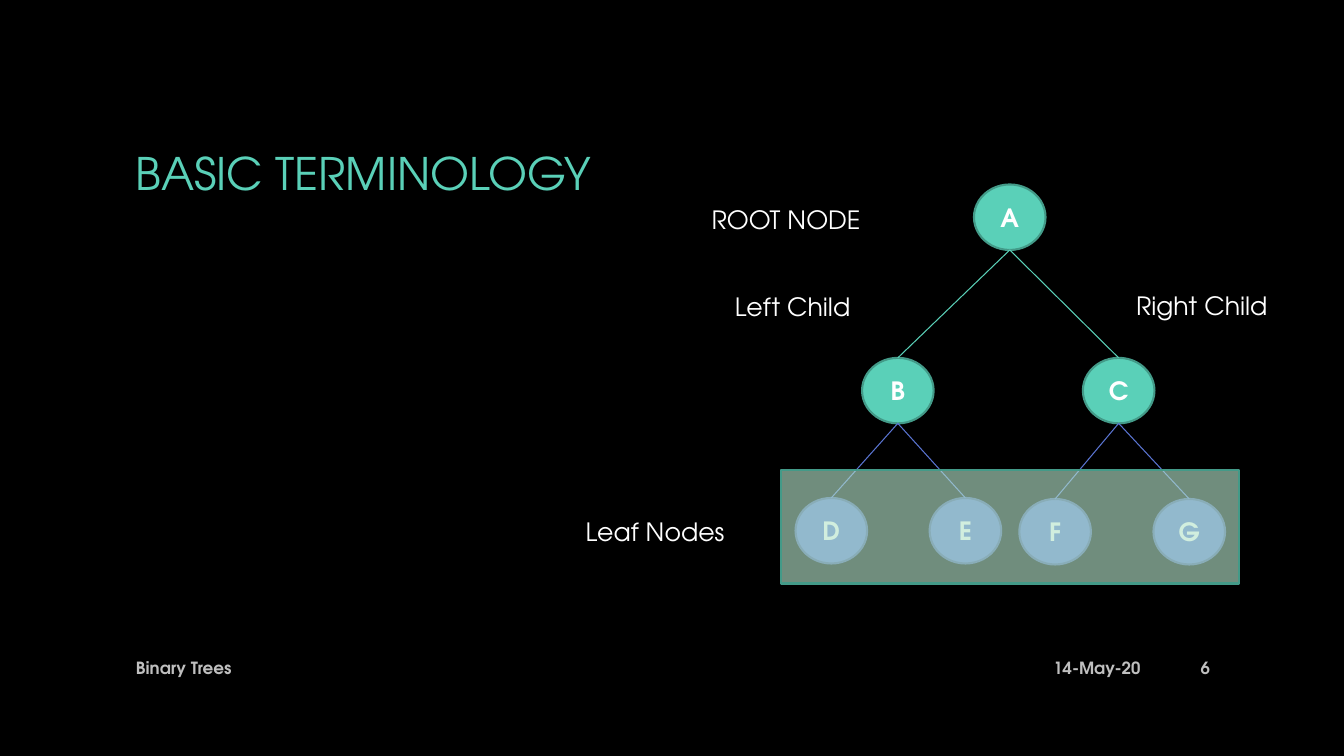
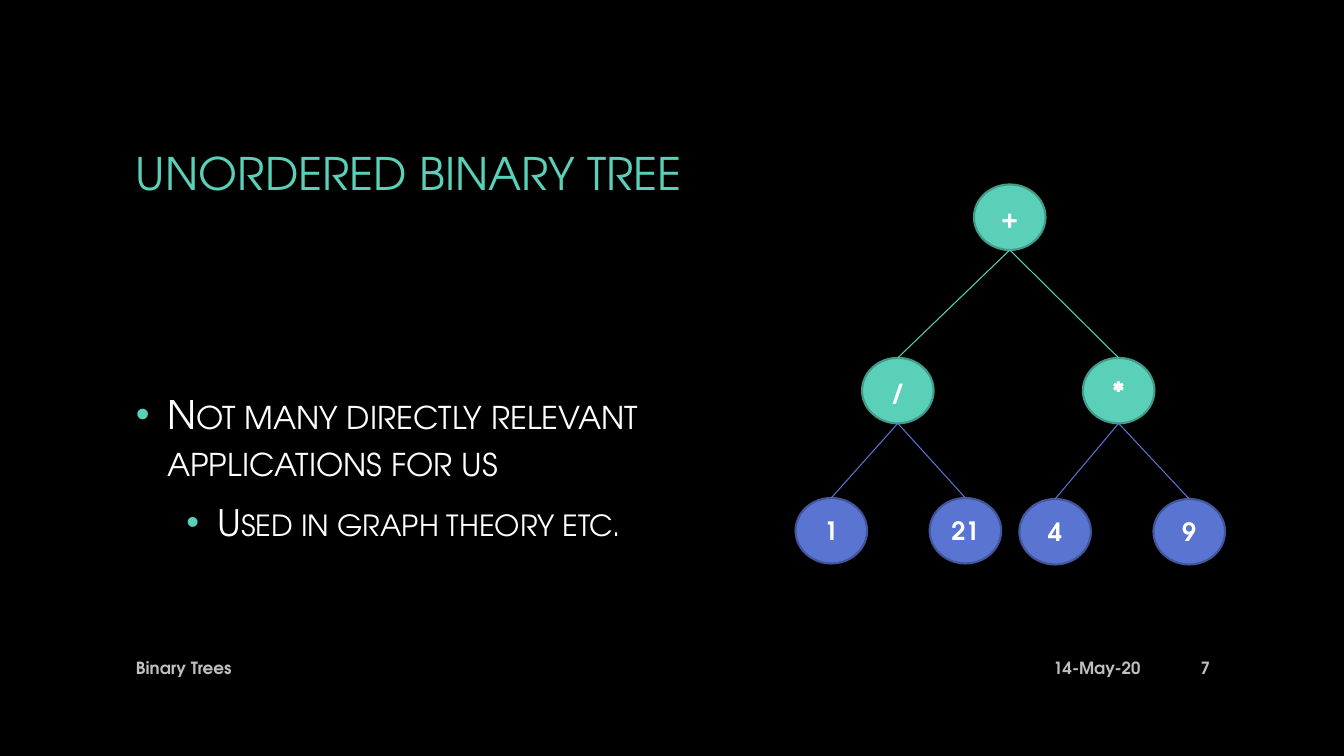
from dataclasses import dataclass

from pptx import Presentation
from pptx.dml.color import RGBColor as Rgb
from pptx.enum.shapes import MSO_CONNECTOR as Link, MSO_SHAPE as Geo
from pptx.enum.text import MSO_ANCHOR as Anchor, MSO_AUTO_SIZE as Auto, PP_ALIGN as Align
from pptx.oxml.ns import qn
from pptx.util import Inches, Pt


@dataclass(frozen=True)
class Theme:
    font: str = "TeX Gyre Adventor"
    back: str = "000000"
    text: str = "FFFFFF"
    muted: str = "BFBFBF"
    mint: str = "5AD0B8"
    mint_edge: str = "439A88"
    blue: str = "5A74D1"
    blue_edge: str = "43569B"
    veil: str = "B5E4CB"
    title: int = 32
    label: int = 18
    foot: int = 12
    body: tuple = (28, 26)


T = Theme()
TITLE = (1.25, 0.67, 10.83, 2.08)
BODY = (1.25, 2.92, 5.55, 3.42)
TREE = (7.89, 1.83)
NODE = (0.71, 0.65)
# Left and top of each node inside the tree, level by level
SPOTS = [(1.77, 0), (0.66, 1.72), (2.85, 1.72),
         (0, 3.11), (1.33, 3.11), (2.22, 3.12), (3.55, 3.12)]
INNER = 3  # nodes that have children


def rgb(code):
    return Rgb.from_string(code)


def style(par, size, color, bold=False, align=Align.LEFT):
    par.alignment = align
    for run in par.runs:
        font = run.font
        font.name, font.size, font.bold = T.font, Pt(size), bold
        font.color.rgb = rgb(color)


def add_text(slide, box, text, size, color, bold=False, align=Align.LEFT,
             anchor=Anchor.MIDDLE):
    frame = slide.shapes.add_textbox(*map(Inches, box)).text_frame
    frame.word_wrap = True
    frame.vertical_anchor = anchor
    frame.text = text
    for par in frame.paragraphs:
        style(par, size, color, bold, align)
    return frame


def add_shape(slide, geo, box, fill, edge):
    shape = slide.shapes.add_shape(geo, *map(Inches, box))
    shape.shadow.inherit = False
    shape.fill.solid()
    shape.fill.fore_color.rgb = rgb(fill)
    shape.line.color.rgb = rgb(edge)
    shape.line.width = Pt(1.5)
    return shape


def add_node(slide, box, text, fill, edge):
    node = add_shape(slide, Geo.OVAL, box, fill, edge)
    frame = node.text_frame
    frame.word_wrap = False
    frame.vertical_anchor = Anchor.MIDDLE
    frame.text = text
    style(frame.paragraphs[0], T.label, T.text, True, Align.CENTER)
    return node


def add_edge(slide, top, low, color):
    """Line from the bottom of one node to the top of its child."""
    line = slide.shapes.add_connector(
        Link.STRAIGHT, top.left + top.width // 2, top.top + top.height,
        low.left + low.width // 2, low.top)
    line.end_connect(low, 0)
    line.line.color.rgb = rgb(color)
    line.line.width = Pt(0.75)
    props = line._element.spPr
    props.append(props.makeelement(qn("a:effectLst"), {}))


def add_tree(slide, origin, names):
    """Seven-node binary tree; the children of node i are 2i + 1 and 2i + 2."""
    left, top = origin
    nodes = []
    for i, (name, (x, y)) in enumerate(zip(names, SPOTS)):
        pair = (T.mint, T.mint_edge) if i < INNER else (T.blue, T.blue_edge)
        nodes.append(add_node(slide, (left + x, top + y, *NODE), name, *pair))
    for i in range(1, len(nodes)):
        color = T.mint if i < INNER else T.blue
        add_edge(slide, nodes[(i - 1) // 2], nodes[i], color)


def add_terms(slide, origin):
    """Veil over the leaves and the labels beside the tree."""
    left, top = origin
    veil = add_shape(slide, Geo.RECTANGLE, (left - 0.14, top + 2.83, 4.54, 1.13),
                     T.veil, T.mint_edge)
    color = veil._element.spPr.find(qn("a:solidFill"))[0]
    color.append(color.makeelement(qn("a:alpha"), {"val": "62000"}))
    for text, x, y in [("Leaf Nodes", -2.18, 3.24), ("Left Child", -0.7, 1.01),
                       ("Right Child", 3.28, 1), ("ROOT NODE", -0.93, 0.15)]:
        frame = add_text(slide, (left + x, top + y, 1.86, 0.4), text,
                         T.label, T.text, anchor=Anchor.TOP)
        frame.auto_size = Auto.SHAPE_TO_FIT_TEXT


def add_bullets(slide, box, lines):
    """Small-caps list, each line one level deeper than the last."""
    frame = add_text(slide, box, "\n".join(lines), T.body[0], T.text)
    for level, (par, size) in enumerate(zip(frame.paragraphs, T.body)):
        par.level = level
        par.space_before, par.space_after = Pt(size * 0.2), Pt(6)
        font = par.runs[0].font
        font.size = Pt(size)
        font._element.set("cap", "small")
        props = par._p.get_or_add_pPr()
        props.set("marL", str(Inches(0.31 + 0.5 * level)))
        props.set("indent", str(Inches(-0.31)))
        tint = props.makeelement(qn("a:buClr"), {})
        tint.append(tint.makeelement(qn("a:srgbClr"), {"val": T.mint}))
        props.append(tint)
        props.append(props.makeelement(qn("a:buFont"), {"typeface": "Arial"}))
        props.append(props.makeelement(qn("a:buChar"), {"char": "•"}))


def add_footer(slide, number):
    for text, left, width, align in [("14-May-20", 9.66, 1.75, Align.RIGHT),
                                     ("Binary Trees", 1.25, 8.25, Align.LEFT),
                                     (str(number), 11.5, 0.6, Align.RIGHT)]:
        add_text(slide, (left, 6.43, width, 0.4), text, T.foot, T.muted, True, align)


def add_page(deck, title, number, names):
    """Slide with title, footer and tree."""
    slide = deck.slides.add_slide(deck.slide_layouts[6])
    add_text(slide, TITLE, title, T.title, T.mint)
    add_footer(slide, number)
    add_tree(slide, TREE, names)
    return slide


def main():
    deck = Presentation()
    deck.slide_width, deck.slide_height = Inches(13.33), Inches(7.5)
    back = deck.slide_master.background.fill
    back.solid()
    back.fore_color.rgb = rgb(T.back)

    terms = add_page(deck, "BASIC TERMINOLOGY", 6, "ABCDEFG")
    add_terms(terms, TREE)

    plain = add_page(deck, "UNORDERED BINARY TREE", 7,
                     ["+", "/", "*", "1", "21", "4", "9"])
    add_bullets(plain, BODY, ["Not many directly relevant applications for us",
                              "Used in graph theory etc."])
    deck.save("out.pptx")


if __name__ == "__main__":
    main()
